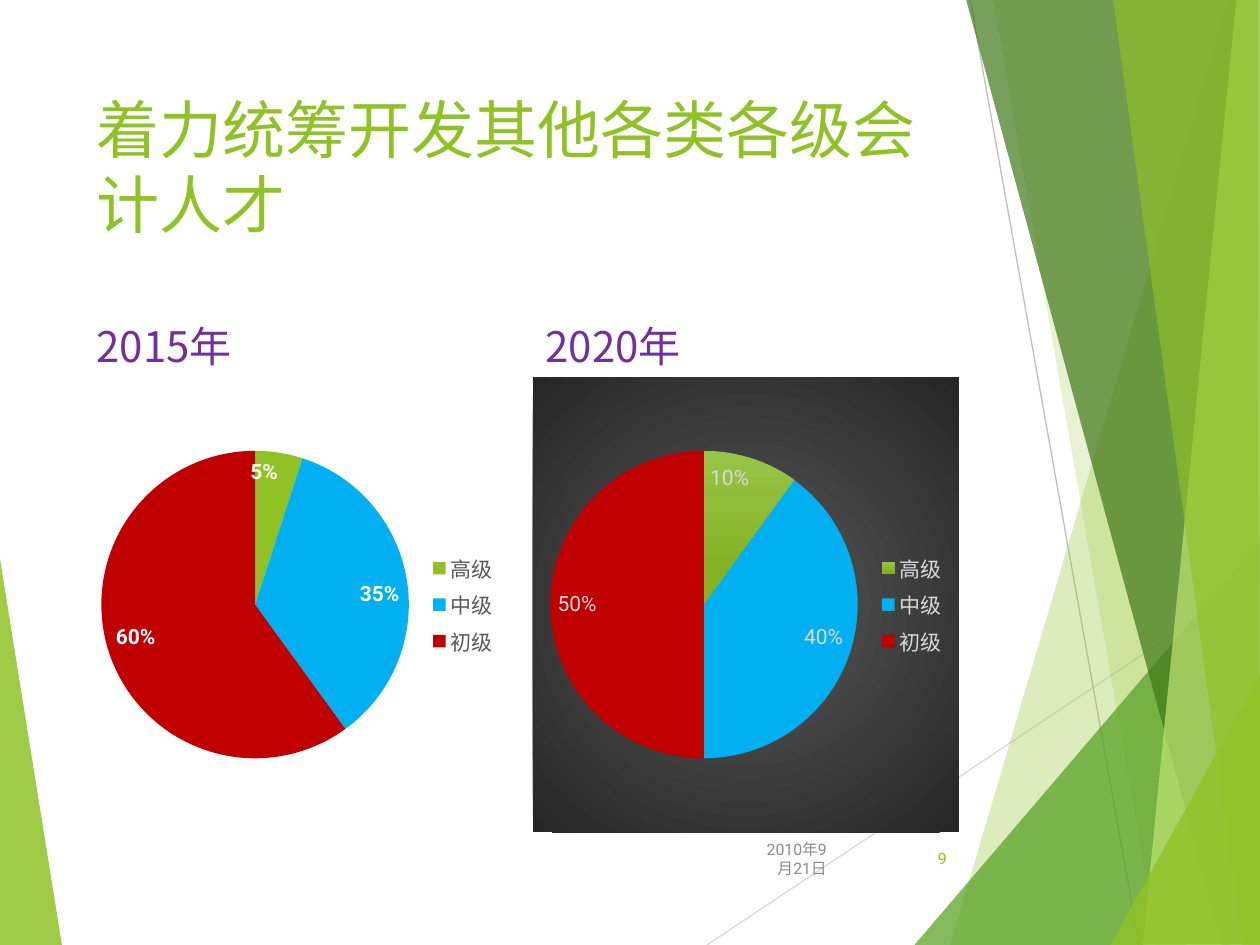
from dataclasses import dataclass

from lxml import etree
from pptx import Presentation
from pptx.chart.data import CategoryChartData
from pptx.dml.color import RGBColor
from pptx.enum.chart import XL_CHART_TYPE, XL_LABEL_POSITION, XL_LEGEND_POSITION
from pptx.enum.shapes import MSO_CONNECTOR
from pptx.enum.text import MSO_ANCHOR, MSO_AUTO_SIZE, PP_ALIGN
from pptx.oxml import parse_xml
from pptx.oxml.ns import nsdecls, qn
from pptx.util import Pt

PIE = XL_CHART_TYPE.PIE
INSIDE_END = XL_LABEL_POSITION.INSIDE_END
LEGEND_RIGHT = XL_LEGEND_POSITION.RIGHT
STRAIGHT = MSO_CONNECTOR.STRAIGHT
TOP, MIDDLE, BOTTOM = MSO_ANCHOR.TOP, MSO_ANCHOR.MIDDLE, MSO_ANCHOR.BOTTOM
LEFT, RIGHT = PP_ALIGN.LEFT, PP_ALIGN.RIGHT

COLORS = {
    "green": "90C226", "leaf": "54A021", "forest": "3F7819", "lime": "C0E474",
    "light_line": "D9D9D9", "mid_line": "BFBFBF", "purple": "7030A0",
    "blue": "00B0F0", "red": "C00000", "black": "000000", "white": "FFFFFF",
    "legend_gray": "595959", "pale_gray": "D9D9D9", "date_gray": "8C8C8C",
    "panel_center": "595959", "panel_edge": "262626",
    "slice_top": "97C547", "slice_bottom": "84B223",
}
CJK_FONT, LATIN_FONT = "Noto Sans CJK SC", "Roboto"
LEVELS = ("高级", "中级", "初级")
HEADING_TOP, HEADING_HEIGHT = 170, 45.5
PIE_TOP, PIE_HEIGHT = 215.5, 260
COLUMN_WIDTH = 243.5
FOOTER_TOP, FOOTER_HEIGHT = 476, 29


@dataclass
class Facet:
    points: list[tuple[float, float]]
    color: str
    opacity: int


@dataclass
class Ray:
    start: tuple[float, float]
    end: tuple[float, float]
    color: str


@dataclass
class YearColumn:
    heading: str
    heading_idx: int
    left: float
    shares: tuple[int, ...]
    legend_color: str
    label_color: str
    label_bold: bool
    dark: bool


@dataclass
class FooterItem:
    text: str
    left: float
    width: float
    color: str


LEFT_FACET = Facet([(-0.5, 316), (35.5, 540.5), (-0.5, 540)], "green", 85)
RAYS = [
    Ray((404, 540), (720.5, 329), "light_line"),
    Ray((554.5, 0), (651, 540), "mid_line"),
]
RIGHT_FACETS = [
    Facet([(702, 0), (543, 540), (721.5, 540.5), (720.5, 0.5)], "green", 30),
    Facet([(567.5, -0.5), (661.5, 540), (720.5, 540), (720.5, -0.5)], "green", 20),
    Facet([(522.5, 540), (720, 309), (720.5, 540)], "leaf", 72),
    Facet([(552, -0.5), (698.5, 540), (720.5, 539.5), (720.5, -0.5)], "forest", 70),
    Facet([(706.5, -0.5), (653, 540), (720.5, 540), (720, -0.5)], "lime", 70),
    Facet([(636, -0.5), (710, 540), (720, 540), (718.5, -0.5)], "green", 65),
    Facet([(634.5, 540), (720.5, 385), (720.5, 539.5)], "green", 80),
]
YEARS = [
    YearColumn("2015年", 1, 48, (5, 35, 60), "legend_gray", "white", True, False),
    YearColumn("2020年", 3, 304.5, (10, 40, 50), "pale_gray", "pale_gray", False, True),
]
FOOTER = [
    FooterItem("2010年9月21日", 425.5, 54, "date_gray"),
    FooterItem("9", 507.5, 40.5, "green"),
]


def rgb(name: str) -> RGBColor:
    return RGBColor.from_string(COLORS[name])


def apply(target, **values) -> None:
    for attribute, value in values.items():
        setattr(target, attribute, value)


def style_font(font, size: float, color: str, name: str = LATIN_FONT, bold: bool = False) -> None:
    apply(font, size=Pt(size), name=name, bold=bold)
    font.color.rgb = rgb(color)


def place(shape, left: float, top: float, width: float, height: float) -> None:
    apply(shape, left=Pt(left), top=Pt(top), width=Pt(width), height=Pt(height))


def write(shape, text: str, size: float, color: str, font: str, anchor, align, before: float = 0) -> None:
    frame = shape.text_frame
    apply(frame, word_wrap=True, auto_size=MSO_AUTO_SIZE.NONE, vertical_anchor=anchor)
    paragraph = frame.paragraphs[0]
    apply(paragraph, alignment=align, space_before=Pt(before), line_spacing=1.0)
    run = paragraph.add_run()
    run.text = text
    style_font(run.font, size, color, font)
    properties = run.font._element
    east_asian = etree.SubElement(properties, qn("a:ea"))
    east_asian.set("typeface", font)


def draw_facet(shapes, facet: Facet) -> None:
    corners = [(Pt(x), Pt(y)) for x, y in facet.points]
    builder = shapes.build_freeform(*corners[0], scale=1.0)
    builder.add_line_segments(corners[1:], close=True)
    shape = builder.convert_to_shape()
    shape.shadow.inherit = False
    shape.line.fill.background()
    shape.fill.solid()
    shape.fill.fore_color.rgb = rgb(facet.color)
    color = shape._element.spPr.find(".//" + qn("a:srgbClr"))
    etree.SubElement(color, qn("a:alpha")).set("val", str(facet.opacity * 1000))


def draw_ray(shapes, ray: Ray) -> None:
    line = shapes.add_connector(STRAIGHT, *map(Pt, ray.start + ray.end))
    line.line.width = Pt(0.75)
    line.line.color.rgb = rgb(ray.color)
    etree.SubElement(line._element.spPr, qn("a:effectLst"))


def set_chart_background(chart, dark: bool) -> None:
    fill = "<a:noFill/>"
    if dark:
        fill = (
            '<a:gradFill><a:gsLst>'
            f'<a:gs pos="0"><a:srgbClr val="{COLORS["panel_center"]}"/></a:gs>'
            f'<a:gs pos="100000"><a:srgbClr val="{COLORS["panel_edge"]}"/></a:gs>'
            '</a:gsLst><a:path path="circle">'
            '<a:fillToRect l="50000" t="50000" r="50000" b="50000"/></a:path></a:gradFill>'
        )
    background = parse_xml(f'<c:spPr {nsdecls("c", "a")}>{fill}<a:ln><a:noFill/></a:ln></c:spPr>')
    chart._chartSpace.find(qn("c:chart")).addnext(background)


def shade_slice(fill) -> None:
    fill.gradient()
    fill.gradient_angle = 270
    shades = (("slice_top", 0), ("slice_bottom", 0.78))
    for stop, (color, position) in zip(fill.gradient_stops, shades):
        stop.color.rgb = rgb(color)
        stop.position = position


def draw_pie(shapes, year: YearColumn) -> None:
    data = CategoryChartData()
    data.categories = LEVELS
    data.add_series("Series 1", year.shares)
    box = map(Pt, (year.left, PIE_TOP, COLUMN_WIDTH, PIE_HEIGHT))
    chart = shapes.add_chart(PIE, *box, data).chart
    apply(chart, has_title=False, has_legend=True)
    style_font(chart.font, 10, "black")
    apply(chart.legend, position=LEGEND_RIGHT, include_in_layout=False)
    style_font(chart.legend.font, 12, year.legend_color)
    set_chart_background(chart, year.dark)

    plot = chart.plots[0]
    plot.vary_by_categories = True
    series = plot.series[0]
    for index, color in enumerate(("green", "blue", "red")):
        slice_format = series.points[index].format
        slice_format.line.fill.background()
        if year.dark and index == 0:
            shade_slice(slice_format.fill)
        else:
            slice_format.fill.solid()
            slice_format.fill.fore_color.rgb = rgb(color)
    labels = series.data_labels
    apply(labels, show_percentage=True, show_value=False, position=INSIDE_END,
          number_format="0%", number_format_is_linked=False)
    style_font(labels.font, 12, year.label_color, bold=year.label_bold)


def main() -> None:
    deck = Presentation()
    apply(deck, slide_width=Pt(720), slide_height=Pt(540))
    slide = deck.slides.add_slide(deck.slide_layouts.get_by_name("Comparison"))
    shapes = slide.shapes
    holders = {holder.placeholder_format.idx: holder for holder in slide.placeholders}
    for idx in (2, 4):
        holders[idx]._element.getparent().remove(holders[idx]._element)

    draw_facet(shapes, LEFT_FACET)
    for ray in RAYS:
        draw_ray(shapes, ray)
    for facet in RIGHT_FACETS:
        draw_facet(shapes, facet)

    place(shapes.title, 48, 48, 500, 104)
    write(shapes.title, "着力统筹开发其他各类各级会计人才", 36, "green", CJK_FONT, TOP, LEFT)
    for item in FOOTER:
        box = shapes.add_textbox(*map(Pt, (item.left, FOOTER_TOP, item.width, FOOTER_HEIGHT)))
        write(box, item.text, 9, item.color, LATIN_FONT, MIDDLE, RIGHT)
    for year in YEARS:
        heading = holders[year.heading_idx]
        place(heading, year.left, HEADING_TOP, COLUMN_WIDTH, HEADING_HEIGHT)
        write(heading, year.heading, 24, "purple", CJK_FONT, BOTTOM, LEFT)
        draw_pie(shapes, year)

    deck.save("out.pptx")


if __name__ == "__main__":
    main()
